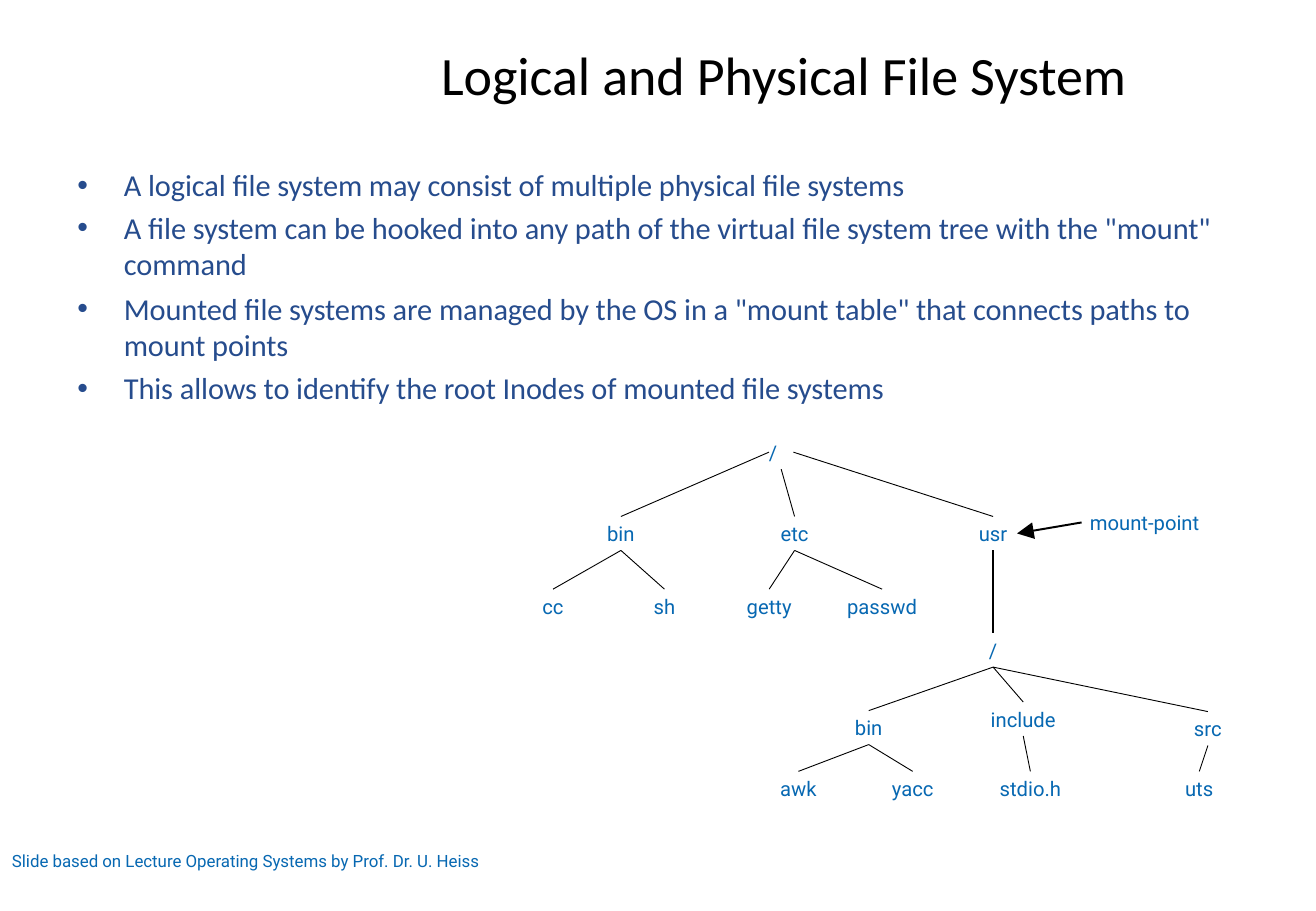
from dataclasses import dataclass

from lxml import etree
from pptx import Presentation
from pptx.dml.color import RGBColor
from pptx.enum.shapes import MSO_CONNECTOR
from pptx.enum.text import MSO_ANCHOR, PP_ALIGN
from pptx.oxml.ns import qn
from pptx.util import Cm, Pt

STRAIGHT = MSO_CONNECTOR.STRAIGHT
LEFT, CENTER = PP_ALIGN.LEFT, PP_ALIGN.CENTER
TOP, MIDDLE = MSO_ANCHOR.TOP, MSO_ANCHOR.MIDDLE
SIDE_TOP, SIDE_LEFT, SIDE_BOTTOM, SIDE_RIGHT = range(4)

COLORS = {"title": "000000", "body": "264C8D", "label": "0768B2", "line": "000000"}
THIN, THICK = 0.55, 1.16
LABEL_HEIGHT = 0.71


@dataclass(frozen=True)
class Node:
    """A directory or file; x is its centre and y its top, in cm."""
    text: str
    x: float
    y: float
    children: tuple["Node", ...] = ()
    width: float = 1.6
    exits: tuple[int, ...] = (SIDE_BOTTOM,) * 3
    branch_width: float = THIN
    align: PP_ALIGN = CENTER


BULLETS = [
    ("A logical file system may consist of multiple physical file systems", 4.7),
    ("A file system can be hooked into any path of the virtual file system "
     "tree with the \"mount\" command", 3.7),
    ("Mounted file systems are managed by the OS in a \"mount table\" that "
     "connects paths to mount points", 4.8),
    ("This allows to identify the root Inodes of mounted file systems", 3.8),
]

# Mounted file system, hooked in below usr
MOUNTED = Node("/", 20.76, 13.24, (
    Node("bin", 18.16, 14.86, (Node("awk", 16.69, 16.13), Node("yacc", 19.08, 16.13))),
    Node("include", 21.39, 14.68, (Node("stdio.h", 21.54, 16.13),)),
    Node("src", 25.25, 14.88, (Node("uts", 25.07, 16.13),)),
))
USR = Node("usr", 20.76, 10.8, (MOUNTED,), width=1.0, branch_width=THICK)
ROOT = Node("/", 16.33, 9.1, (
    Node("bin", 12.98, 10.8, (Node("cc", 11.56, 12.32), Node("sh", 13.89, 12.32))),
    Node("etc", 16.61, 10.8, (Node("getty", 16.08, 12.32), Node("passwd", 18.44, 12.32))),
    USR,
), width=0.51, exits=(SIDE_LEFT, SIDE_BOTTOM, SIDE_RIGHT), align=LEFT)
MOUNT_POINT = Node("mount-point", 23.93, 10.57, width=2.64)


def add_text(slide, paragraphs: list[tuple[str, float]], left: float, top: float,
             width: float, height: float, *, size: float, font: str, color: str,
             align=LEFT, anchor=TOP, margin_top: float = 0, tracking: int = 0,
             bulleted: bool = False):
    """Add a text box; each paragraph is a text and its space before in points."""
    shape = slide.shapes.add_textbox(Cm(left), Cm(top), Cm(width), Cm(height))
    frame = shape.text_frame
    frame.word_wrap = True
    frame.vertical_anchor = anchor
    frame.margin_left = frame.margin_right = frame.margin_bottom = 0
    frame.margin_top = Cm(margin_top)
    for index, (text, space_before) in enumerate(paragraphs):
        paragraph = frame.add_paragraph() if index else frame.paragraphs[0]
        paragraph.alignment = align
        paragraph.space_before = Pt(space_before)
        run = paragraph.add_run()
        run.text = text
        run.font.size = Pt(size)
        run.font.name = font
        run.font.color.rgb = RGBColor.from_string(COLORS[color])
        if tracking:
            run.font._element.set("spc", str(tracking))
        if bulleted:
            properties = paragraph._p.get_or_add_pPr()
            properties.set("marL", str(Cm(0.99)))
            properties.set("indent", str(Cm(-0.97)))
            etree.SubElement(properties, qn("a:buFont"), typeface="Arial")
            etree.SubElement(properties, qn("a:buChar"), char="•")
    return shape


def add_link(slide, start, start_side: int, end, end_side: int, width: float,
             arrow: bool = False) -> None:
    """Join two boxes with a straight line."""
    connector = slide.shapes.add_connector(STRAIGHT, 0, 0, 0, 0)
    connector.begin_connect(start, start_side)
    connector.end_connect(end, end_side)
    connector.line.width = Pt(width)
    connector.line.color.rgb = RGBColor.from_string(COLORS["line"])
    if arrow:
        etree.SubElement(connector.line._get_or_add_ln(), qn("a:tailEnd"),
                         type="triangle", w="lg", len="lg")
    etree.SubElement(connector._element.spPr, qn("a:effectLst"))


def add_label(slide, node: Node):
    return add_text(slide, [(node.text, 0)], node.x - node.width / 2, node.y,
                    node.width, LABEL_HEIGHT, size=12, font="Roboto",
                    color="label", align=node.align, anchor=MIDDLE)


def add_tree(slide, node: Node, boxes: dict):
    """Draw a node with everything below it and record the boxes by node."""
    box = boxes[node] = add_label(slide, node)
    for child, side in zip(node.children, node.exits):
        child_box = add_tree(slide, child, boxes)
        add_link(slide, box, side, child_box, SIDE_TOP, node.branch_width)
    return box


def main() -> None:
    presentation = Presentation()
    presentation.slide_width, presentation.slide_height = Cm(27.51), Cm(19.05)
    slide = presentation.slides.add_slide(presentation.slide_layouts[6])

    # Title and bullets
    add_text(slide, [("Logical and Physical File System", 0)], 9.22, 0.84, 14.6, 1.42,
             size=32, font="Calibri", color="title", anchor=MIDDLE, tracking=-5)
    add_text(slide, BULLETS, 1.6, 3.3, 24.05, 5.4, size=18, font="Calibri",
             color="body", margin_top=0.18, tracking=-5, bulleted=True)

    # Directory tree
    boxes = {}
    add_tree(slide, ROOT, boxes)

    # Mount point
    add_link(slide, add_label(slide, MOUNT_POINT), SIDE_LEFT, boxes[USR], SIDE_RIGHT,
             THICK, arrow=True)

    # Credit
    add_text(slide, [("Slide based on Lecture Operating Systems by Prof. Dr. U. Heiss", 0)],
             0.25, 17.78, 10.08, 0.46, size=10, font="Roboto", color="label")

    presentation.save("out.pptx")


if __name__ == "__main__":
    main()
